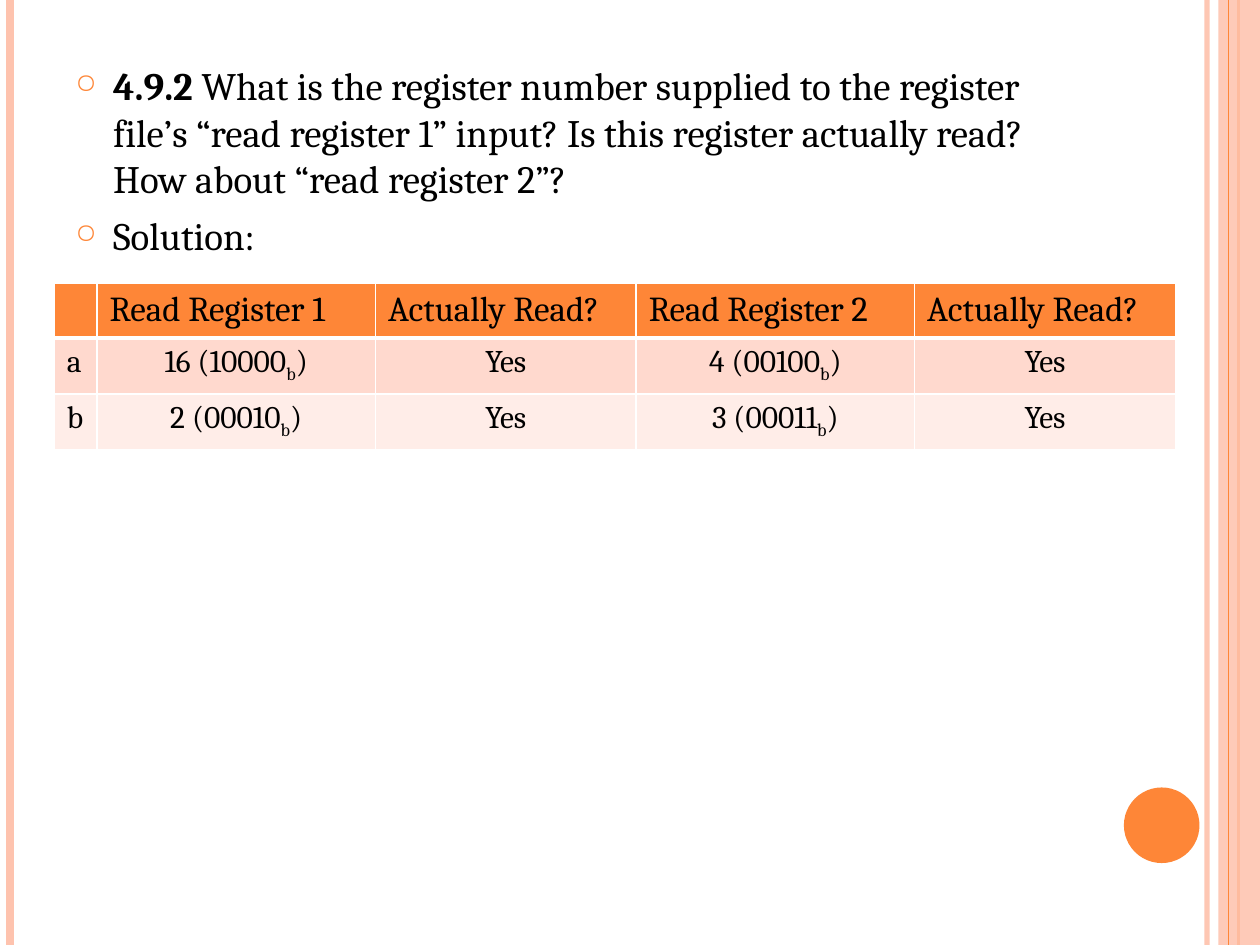
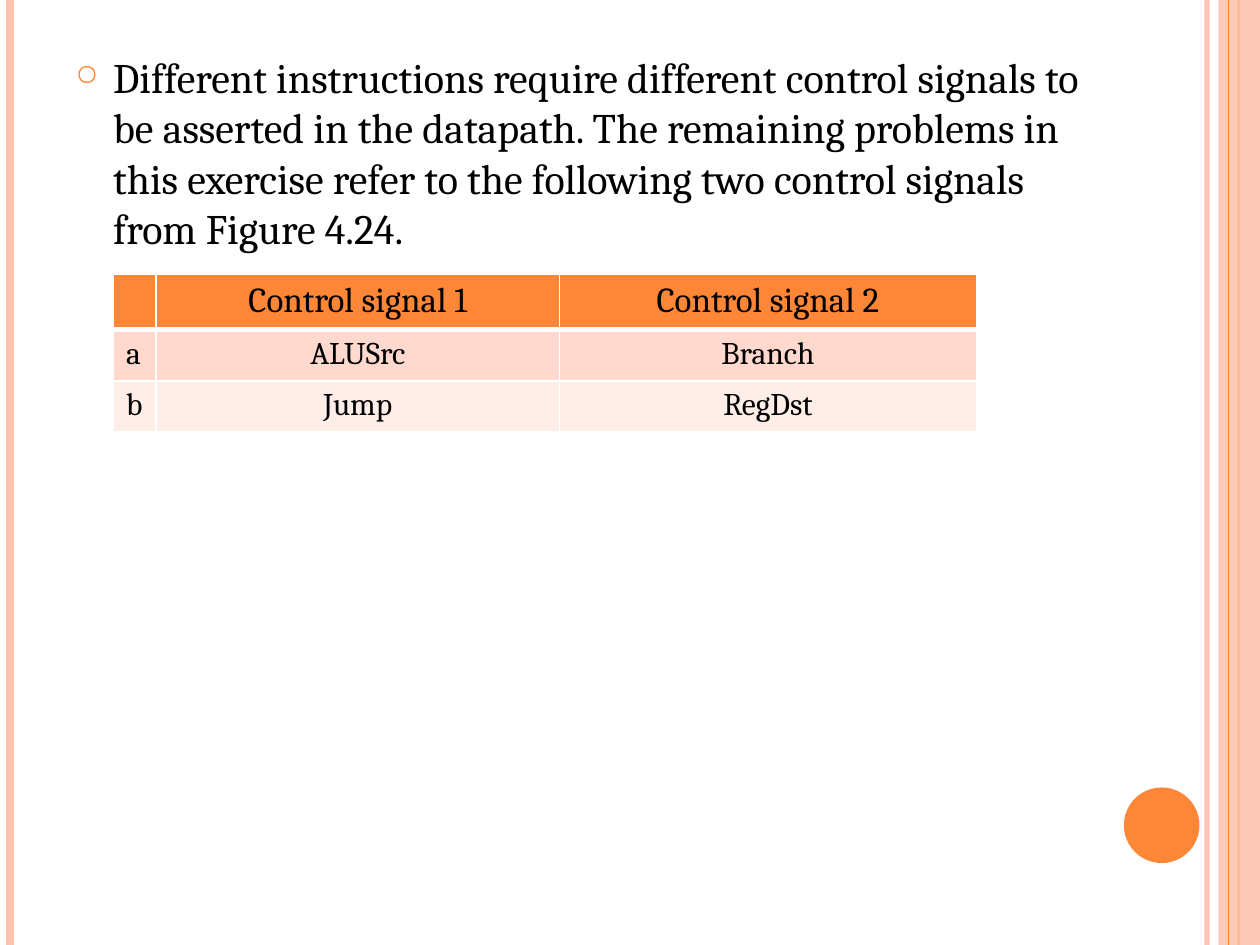
from lxml import etree
from pptx import Presentation
from pptx.dml.color import RGBColor
from pptx.enum.shapes import MSO_CONNECTOR, MSO_SHAPE
from pptx.enum.text import PP_ALIGN
from pptx.oxml import parse_xml
from pptx.oxml.ns import nsdecls, qn
from pptx.util import Inches, Pt

ORANGE = RGBColor(0xFE, 0x86, 0x37)
PEACH = RGBColor(0xFE, 0xC3, 0xAE)
ROW_DARK = RGBColor(0xFF, 0xD9, 0xCE)
ROW_LIGHT = RGBColor(0xFF, 0xED, 0xE8)
WHITE = RGBColor(0xFF, 0xFF, 0xFF)
BLACK = RGBColor(0, 0, 0)
FONT = "Cambria"
HEIGHT = 7.5

# Vertical rules: x, width in points, colour, opacity in percent
RULES_BELOW_BAND = [(9.58, 3, PEACH, 93), (0.08, 4.5, PEACH, 100), (9.83, 1.5, ORANGE, 100)]
RULES_ABOVE_BAND = [(9.75, 0.75, ORANGE, 100)]

# Between bars, body text is bold and table text is subscript
SLIDES = [
    {
        "body": ["|4.9.2 |What is the register number supplied to the register file’s "
                 "“read register 1” input? Is this register actually read? "
                 "How about “read register 2”?",
                 "Solution:"],
        "body_size": 22.2,
        "body_box": (0.5, 0.44, 8.17, 1.81),
        "table_at": (0.43, 2.25),
        "columns": [0.34, 2.21, 2.07, 2.21, 2.07],
        "rows": [0.41, 0.42, 0.42],
        "header_align": PP_ALIGN.LEFT,
        "cells": [["", "Read Register 1", "Actually Read?", "Read Register 2", "Actually Read?"],
                  ["a", "16 (10000|b|)", "Yes", "4 (00100|b|)", "Yes"],
                  ["b", "2 (00010|b|)", "Yes", "3 (00011|b|)", "Yes"]],
    },
    {
        "body": ["Different instructions require different control signals to be asserted "
                 "in the datapath. The remaining problems in this exercise refer to the "
                 "following two control signals from Figure 4.24."],
        "body_size": 24,
        "body_box": (0.5, 0.36, 8.17, 1.73),
        "table_at": (0.9, 2.18),
        "columns": [0.34, 3.2, 3.31],
        "rows": [0.41, 0.41, 0.4],
        "header_align": PP_ALIGN.CENTER,
        "cells": [["", "Control signal 1", "Control signal 2"],
                  ["a", "ALUSrc", "Branch"],
                  ["b", "Jump", "RegDst"]],
    },
]


def add_runs(paragraph, text, size, marked):
    """Split text at bars and call marked on the font of every second part."""
    for index, part in enumerate(text.split("|")):
        if part:
            run = paragraph.add_run()
            run.text = part
            run.font.name, run.font.size, run.font.bold = FONT, Pt(size), False
            run.font.color.rgb = BLACK
            if index % 2:
                marked(run)


def add_rules(slide, rules):
    for x, width, color, opacity in rules:
        rule = slide.shapes.add_connector(
            MSO_CONNECTOR.STRAIGHT, Inches(x), 0, Inches(x), Inches(HEIGHT))
        rule.line.width = Pt(width)
        rule.line.color.rgb = color
        properties = rule._element.spPr
        etree.SubElement(properties, qn("a:effectLst"))
        etree.SubElement(properties.find(".//" + qn("a:srgbClr")),
                         qn("a:alpha"), val=str(opacity * 1000))


presentation = Presentation()
presentation.slide_width, presentation.slide_height = Inches(10), Inches(HEIGHT)

for content in SLIDES:
    slide = presentation.slides.add_slide(presentation.slide_layouts[6])
    slide.background.fill.solid()
    slide.background.fill.fore_color.rgb = WHITE

    # Side rules, right band and page disc
    add_rules(slide, RULES_BELOW_BAND)
    for kind, box, color, opacity in [
        (MSO_SHAPE.RECTANGLE, (9.67, 0, 0.33, HEIGHT), PEACH, 87),
        (MSO_SHAPE.OVAL, (8.92, 6.25, 0.6, 0.6), ORANGE, 100),
    ]:
        shape = slide.shapes.add_shape(kind, *map(Inches, box))
        shape.shadow.inherit = False
        shape.fill.solid()
        shape.fill.fore_color.rgb = color
        shape.line.fill.background()
        etree.SubElement(shape._element.spPr.find(".//" + qn("a:srgbClr")),
                         qn("a:alpha"), val=str(opacity * 1000))
    add_rules(slide, RULES_ABOVE_BAND)

    # Bulleted body
    text_frame = slide.shapes.add_textbox(*map(Inches, content["body_box"])).text_frame
    text_frame.word_wrap = True
    for index, text in enumerate(content["body"]):
        paragraph = text_frame.add_paragraph() if index else text_frame.paragraphs[0]
        if index:
            paragraph.space_before = Pt(6)
        properties = paragraph._p.get_or_add_pPr()
        properties.set("marL", str(Inches(0.3)))
        properties.set("indent", str(Inches(-0.3)))
        for bullet in (f'<a:buClr {nsdecls("a")}><a:srgbClr val="{ORANGE}"/></a:buClr>',
                       f'<a:buSzPct {nsdecls("a")} val="70000"/>',
                       f'<a:buChar {nsdecls("a")} char="○"/>'):
            properties.append(parse_xml(bullet))
        add_runs(paragraph, text, content["body_size"],
                 lambda run: setattr(run.font, "bold", True))

    # Table
    columns, rows = content["columns"], content["rows"]
    left, top = content["table_at"]
    table = slide.shapes.add_table(
        len(rows), len(columns), Inches(left), Inches(top),
        Inches(sum(columns)), Inches(sum(rows))).table
    table.first_row = table.horz_banding = False
    for column, width in zip(table.columns, columns):
        column.width = Inches(width)
    for row_index, (row, height) in enumerate(zip(table.rows, rows)):
        row.height = Inches(height)
        borders = {"L": 1, "R": 1, "T": 3 if row_index == 1 else 1,
                   "B": 3 if row_index == 0 else 1}
        for column_index, cell in enumerate(row.cells):
            for side, width in borders.items():
                cell._tc.get_or_add_tcPr().append(parse_xml(
                    f'<a:ln{side} {nsdecls("a")} w="{Pt(width)}"><a:solidFill>'
                    f'<a:srgbClr val="{WHITE}"/></a:solidFill></a:ln{side}>'))
            cell.fill.solid()
            cell.fill.fore_color.rgb = (ORANGE, ROW_DARK, ROW_LIGHT)[row_index]
            paragraph = cell.text_frame.paragraphs[0]
            if column_index:
                paragraph.alignment = PP_ALIGN.CENTER if row_index else content["header_align"]
            add_runs(paragraph, content["cells"][row_index][column_index],
                     18 if row_index else 20,
                     lambda run: run.font._element.set("baseline", "-25000"))

presentation.save("out.pptx")
